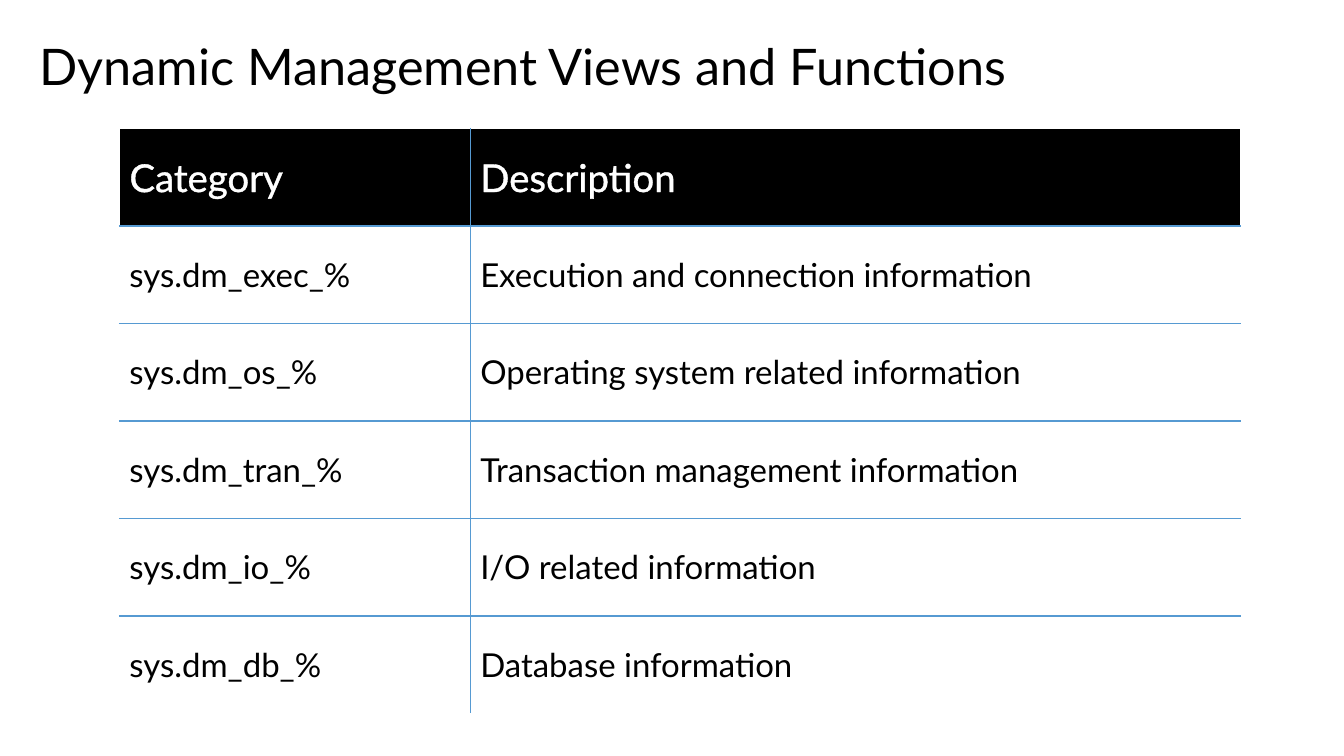
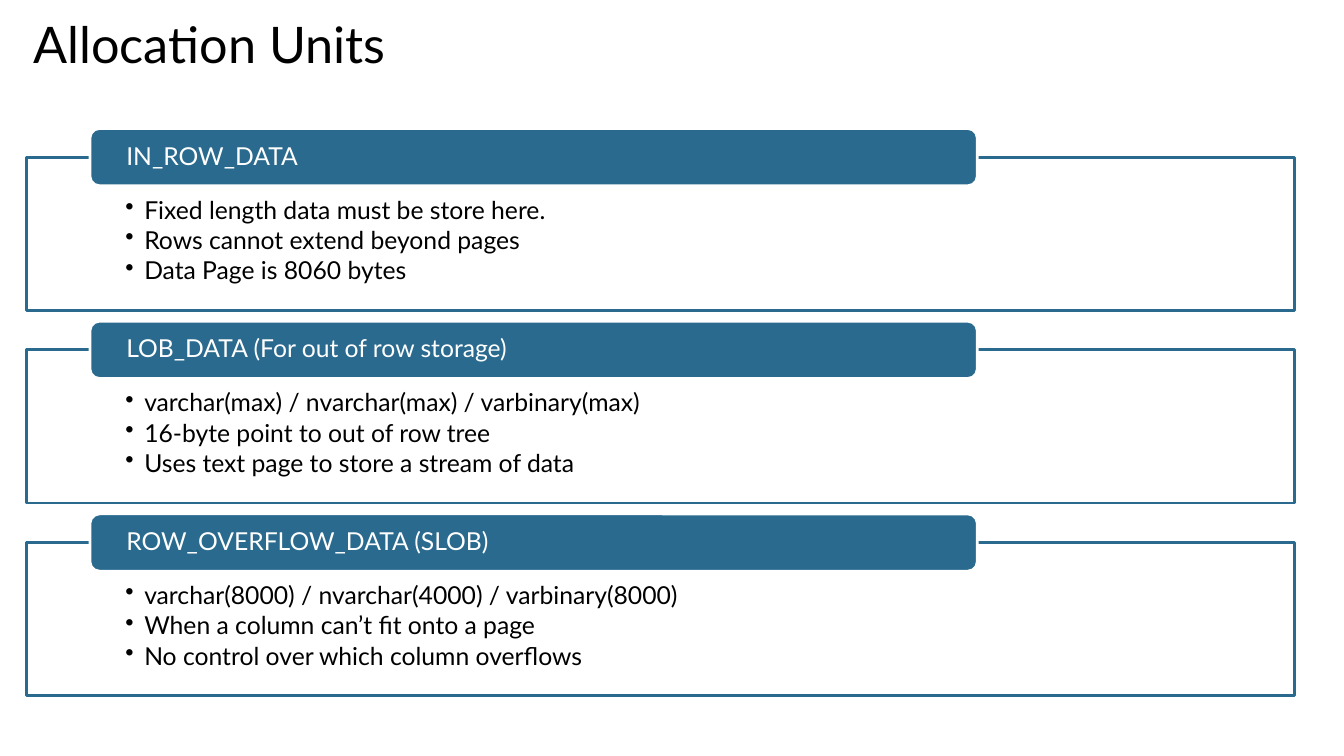
from lxml import etree
from pptx import Presentation
from pptx.dml.color import RGBColor
from pptx.enum.shapes import MSO_SHAPE as Shape
from pptx.enum.text import MSO_ANCHOR as Anchor, PP_ALIGN as Align
from pptx.oxml import parse_xml
from pptx.oxml.ns import nsdecls, qn
from pptx.util import Inches, Pt

COLORS = {
    "ink": "000000",
    "paper": "FFFFFF",
    "rule": "569AD2",
    "accent": "296A8E",
}
FONT = "Lato"
WIDTH, HEIGHT = 13.6, 7.65
COLUMNS, ROWS = 136, 76.5

CATEGORIES = [
    ("Category", "Description"),
    ("sys.dm_exec_%", "Execution and connection information"),
    ("sys.dm_os_%", "Operating system related information"),
    ("sys.dm_tran_%", "Transaction management information"),
    ("sys.dm_io_%", "I/O related information"),
    ("sys.dm_db_%", "Database information"),
]

ALLOCATION_UNITS = [
    ("IN_ROW_DATA", [
        "Fixed length data must be store here.",
        "Rows cannot extend beyond pages",
        "Data Page is 8060 bytes",
    ]),
    ("LOB_DATA (For out of row storage)", [
        "varchar(max) / nvarchar(max) / varbinary(max)",
        "16-byte point to out of row tree",
        "Uses text page to store a stream of data",
    ]),
    ("ROW_OVERFLOW_DATA (SLOB)", [
        "varchar(8000) / nvarchar(4000) / varbinary(8000)",
        "When a column can’t fit onto a page",
        "No control over which column overflows",
    ]),
]


def rgb(name):
    return RGBColor.from_string(COLORS[name])


def outline_xml(tag, color, points):
    return parse_xml(
        f'<a:{tag} {nsdecls("a")} w="{Pt(points)}"><a:solidFill>'
        f'<a:srgbClr val="{COLORS[color]}"/></a:solidFill></a:{tag}>')


class Deck:
    """Shared style, the grid and the slide being filled."""

    def __init__(self):
        self.prs = Presentation()
        self.prs.slide_width = Inches(WIDTH)
        self.prs.slide_height = Inches(HEIGHT)
        self.slide = None

    def col(self, count):
        return Inches(WIDTH * count / COLUMNS)

    def row(self, count):
        return Inches(HEIGHT * count / ROWS)

    def area(self, left, top, width, height):
        return self.col(left), self.row(top), self.col(width), self.row(height)

    def set_text(self, frame, lines, size, color, spacing=None, after=0):
        frame.word_wrap = True
        frame.text = "\n".join(lines)
        for paragraph in frame.paragraphs:
            paragraph.alignment = Align.LEFT
            paragraph.line_spacing = spacing
            paragraph.space_after = Pt(after)
            for run in paragraph.runs:
                run.font.name = FONT
                run.font.size = Pt(size)
                run.font.color.rgb = rgb(color)

    def inset(self, frame, side, top=0, bottom=0):
        frame.margin_left = frame.margin_right = self.col(side)
        frame.margin_top, frame.margin_bottom = self.row(top), self.row(bottom)

    def new_slide(self, title, left, top, width, height):
        self.slide = self.prs.slides.add_slide(self.prs.slide_layouts[6])
        box = self.slide.shapes.add_textbox(*self.area(left, top, width, height))
        self.set_text(box.text_frame, [title], 36.7, "ink", spacing=Pt(35.7))

    def shape(self, kind, area, fill, line):
        shape = self.slide.shapes.add_shape(kind, *self.area(*area))
        shape.shadow.inherit = False
        shape.fill.solid()
        shape.fill.fore_color.rgb = rgb(fill)
        shape.line.color.rgb = rgb(line)
        shape.line.width = Pt(2)
        return shape

    def table(self, records, left, top, widths, row_height):
        area = self.area(left, top, sum(widths), row_height * len(records))
        table = self.slide.shapes.add_table(len(records), len(widths), *area).table
        table.first_row = table.horz_banding = False
        for column, width in zip(table.columns, widths):
            column.width = self.col(width)
        last_row, last_col = len(records) - 1, len(widths) - 1
        for r, record in enumerate(records):
            for c, text in enumerate(record):
                cell = table.cell(r, c)
                header = r == 0
                cell.vertical_anchor = Anchor.MIDDLE
                cell.fill.solid()
                cell.fill.fore_color.rgb = rgb("ink" if header else "paper")
                self.set_text(cell.text_frame, [text], 28 if header else 24,
                              "paper" if header else "ink")
                if header:
                    run = cell.text_frame.paragraphs[0].runs[0]
                    run_props = run._r.get_or_add_rPr()
                    run_props.insert(0, outline_xml("ln", "paper", 0.75))
                # Outer edges vanish into the page, inner ones are ruled
                edges = {"lnL": c == 0, "lnR": c == last_col,
                         "lnT": r == 0, "lnB": r == last_row}
                cell_props = cell._tc.get_or_add_tcPr()
                for place, (tag, outer) in enumerate(edges.items()):
                    color = "paper" if outer else "rule"
                    cell_props.insert(place, outline_xml(tag, color, 1))

    def bullets(self, frame):
        for paragraph in frame.paragraphs:
            props = paragraph._p.get_or_add_pPr()
            props.set("marL", str(Inches(0.19)))
            props.set("indent", str(-Inches(0.19)))
            etree.SubElement(props, qn("a:buChar")).set("char", "•")

    def unit_panel(self, name, facts, top):
        # Framed facts
        panel = self.shape(Shape.RECTANGLE, (2.7, top + 2.9, 128.3, 15.5),
                           "paper", "accent")
        tint = panel._element.spPr.find(qn("a:solidFill"))[0]
        etree.SubElement(tint, qn("a:alpha")).set("val", "90000")
        facts_frame = panel.text_frame
        facts_frame.vertical_anchor = Anchor.TOP
        self.inset(facts_frame, 10, 4.1, 1.4)
        self.set_text(facts_frame, facts, 18, "ink", spacing=0.9, after=2.7)
        self.bullets(facts_frame)
        # Name tab over the frame's upper edge
        tab = self.shape(Shape.ROUNDED_RECTANGLE, (9.1, top, 89.8, 5.8),
                         "accent", "paper")
        tab.text_frame.vertical_anchor = Anchor.MIDDLE
        self.inset(tab.text_frame, 3.4)
        self.set_text(tab.text_frame, [name], 18, "paper", spacing=0.9)


def main():
    deck = Deck()

    # Views and functions by category
    deck.new_slide("Dynamic Management Views and Functions", 3, 4.2, 130, 5.1)
    deck.table(CATEGORIES, left=12.1, top=13, widths=(35.5, 77.9), row_height=9.87)

    # Allocation units, evenly stacked
    deck.new_slide("Allocation Units", 2.4, 2, 122.4, 12.7)
    for index, (name, facts) in enumerate(ALLOCATION_UNITS):
        deck.unit_panel(name, facts, top=13 + 19.5 * index)

    deck.prs.save("out.pptx")


if __name__ == "__main__":
    main()
